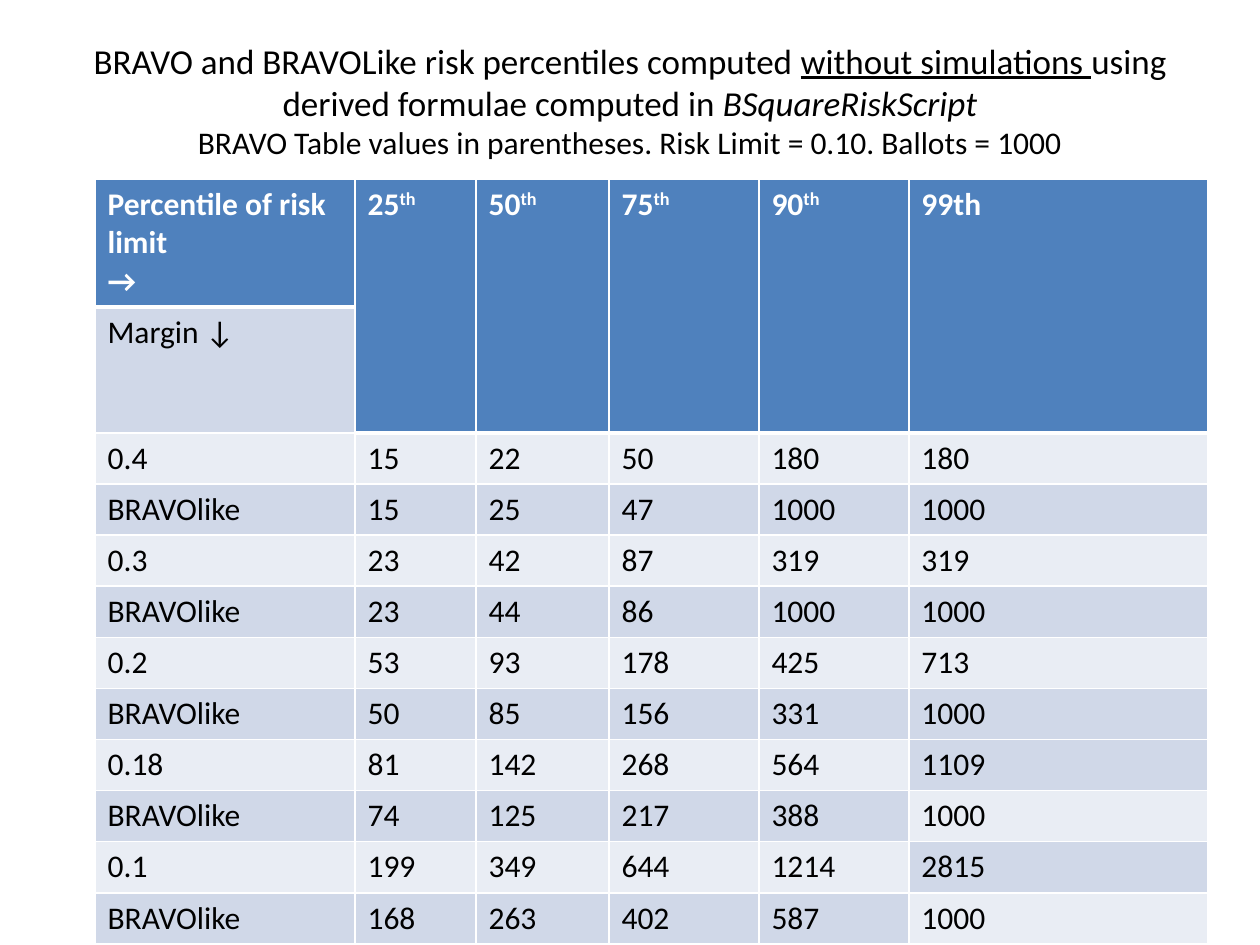
from copy import deepcopy
from lxml import etree
from pptx import Presentation
from pptx.dml.color import RGBColor
from pptx.enum.text import MSO_ANCHOR, PP_ALIGN
from pptx.oxml.ns import qn
from pptx.util import Pt

MIDDLE, CENTER = MSO_ANCHOR.MIDDLE, PP_ALIGN.CENTER
PX = 914400 // 126
FONT = "Calibri"
COLORS = {"head": "4F81BD", "dark": "D0D8E8", "light": "E9EDF4",
          "white": "FFFFFF", "black": "000000"}

# Content: title lines hold (text, size, style)
TITLE = [
    [("BRAVO and BRAVOLike risk percentiles computed ", 20, ""),
     ("without simulations ", 20, "underline"),
     ("using derived formulae computed in ", 20, ""),
     ("BSquareRiskScript", 20, "italic")],
    [("BRAVO Table values in parentheses. Risk Limit = 0.10. Ballots = 1000", 18, "")],
]
CORNER = ["Percentile of risk limit", "→"]
HEADS = [("25", "th"), ("50", "th"), ("75", "th"), ("90", "th"), ("99th", "")]
MARGIN = "Margin ↓"
LIKE = "BRAVOlike"
ROWS = [
    ("0.4", 15, 22, 50, 180, 180),
    (LIKE, 15, 25, 47, 1000, 1000),
    ("0.3", 23, 42, 87, 319, 319),
    (LIKE, 23, 44, 86, 1000, 1000),
    ("0.2", 53, 93, 178, 425, 713),
    (LIKE, 50, 85, 156, 331, 1000),
    ("0.18", 81, 142, 268, 564, 1109),
    (LIKE, 74, 125, 217, 388, 1000),
    ("0.1", 199, 349, 644, 1214, 2815),
    (LIKE, 168, 263, 402, 587, 1000),
]
SWAP_ROW = 8  # from here the last column has its bands swapped

# Layout in px
TITLE_BOX = (63, 21, 1134, 158)
LEFT, TOP = 95, 179
WIDTHS = [260, 121, 133, 150, 150, 299]
HEIGHTS = [127, 126] + [51] * len(ROWS)


def add_run(para, text, size=18, color="black", bold=False):
    run = para.add_run()
    run.text = text
    font = run.font
    font.name, font.size, font.bold = FONT, Pt(size), bold
    font.color.rgb = RGBColor.from_string(COLORS[color])
    return run


def add_line(cell, side, width):
    line = etree.SubElement(cell._tc.get_or_add_tcPr(), qn("a:ln" + side),
                            w=str(Pt(width)))
    fill = etree.SubElement(line, qn("a:solidFill"))
    etree.SubElement(fill, qn("a:srgbClr"), val=COLORS["white"])


def paint(cell, row, col):
    # A thick rule runs under the header, one row lower beyond column 0
    last = 0 if col == 0 else 1
    is_head = row <= last
    top = 3 if row == last + 1 else 1
    base = 3 if is_head else 1
    for side, width in (("L", 1), ("R", 1), ("T", top), ("B", base)):
        add_line(cell, side, width)
    swap = col == len(HEADS) and row >= SWAP_ROW
    band = "dark" if (row % 2 == 1) != swap else "light"
    cell.fill.solid()
    cell.fill.fore_color.rgb = RGBColor.from_string(COLORS["head" if is_head else band])


deck = Presentation()
deck.slide_width, deck.slide_height = 1260 * PX, 945 * PX
slide = deck.slides.add_slide(deck.slide_layouts[5])

# Title
title = slide.shapes.title
title.left, title.top, title.width, title.height = [v * PX for v in TITLE_BOX]
frame = title.text_frame
frame.word_wrap, frame.vertical_anchor = True, MIDDLE
para = frame.paragraphs[0]
para.alignment = CENTER
for i, line in enumerate(TITLE):
    if i:
        para.add_line_break()
        para._p[-1].append(deepcopy(run._r.rPr))  # break keeps the run's size
    for text, size, style in line:
        run = add_run(para, text, size)
        if style:
            setattr(run.font, style, True)

# Table grid
table = slide.shapes.add_table(len(HEIGHTS), len(WIDTHS), LEFT * PX, TOP * PX,
                               sum(WIDTHS) * PX, sum(HEIGHTS) * PX).table
table.horz_banding = False
for col, width in zip(table.columns, WIDTHS):
    col.width = width * PX
for row, height in zip(table.rows, HEIGHTS):
    row.height = height * PX
for r in range(len(HEIGHTS)):
    for c in range(len(WIDTHS)):
        paint(table.cell(r, c), r, c)

# Header
corner = table.cell(0, 0).text_frame
for i, text in enumerate(CORNER):
    para = corner.add_paragraph() if i else corner.paragraphs[0]
    add_run(para, text, color="white", bold=True)
for c, (num, suffix) in enumerate(HEADS, 1):
    cell = table.cell(0, c)
    cell.merge(table.cell(1, c))
    para = cell.text_frame.paragraphs[0]
    add_run(para, num, color="white", bold=True)
    if suffix:
        run = add_run(para, suffix, color="white", bold=True)
        run._r.get_or_add_rPr().set("baseline", "30000")

# Body
for r, row in enumerate([(MARGIN,)] + ROWS, 1):
    for c, value in enumerate(row):
        add_run(table.cell(r, c).text_frame.paragraphs[0], str(value))

deck.save("out.pptx")
